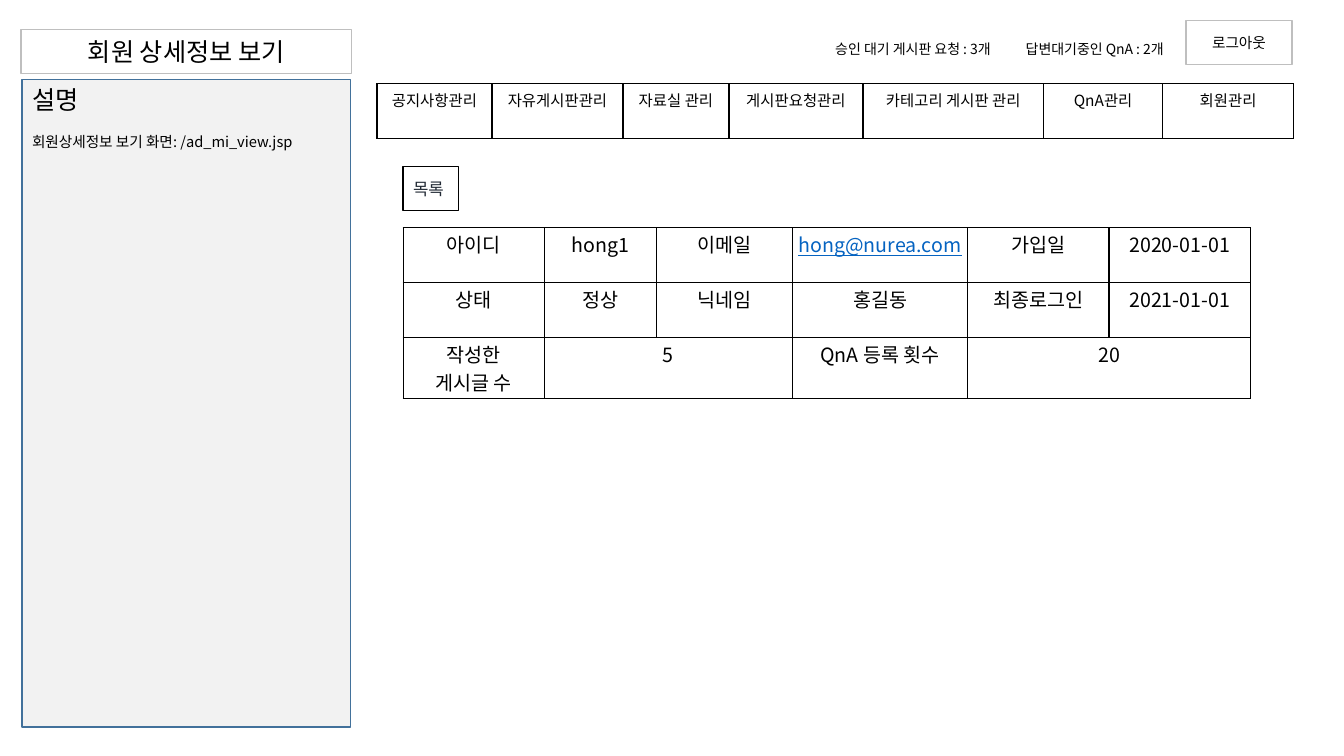
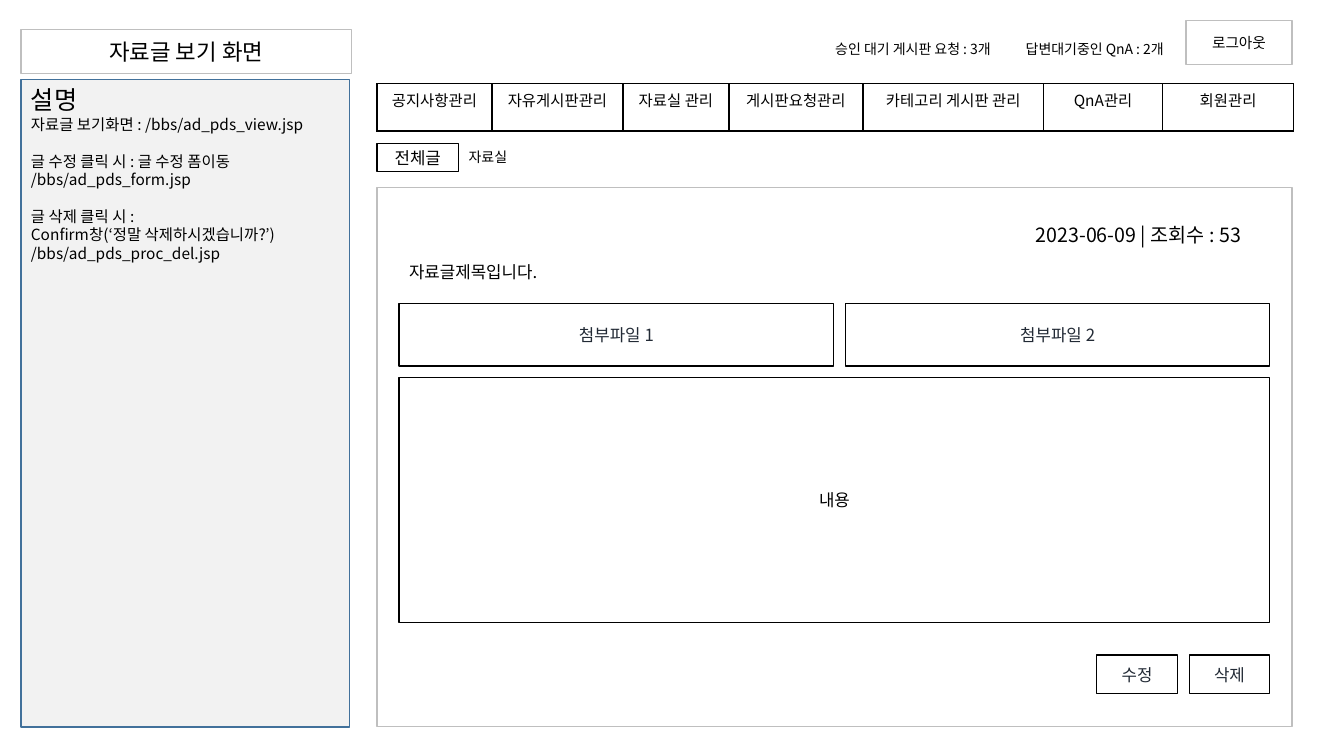
from collections import namedtuple
from dataclasses import dataclass

from lxml.etree import SubElement
from pptx import Presentation
from pptx.dml.color import RGBColor as RGB
from pptx.enum.shapes import MSO_SHAPE as SHAPE
from pptx.enum.text import MSO_ANCHOR as ANCHOR, PP_ALIGN as ALIGN
from pptx.oxml.ns import qn
from pptx.util import Cm, Pt

Box = namedtuple("Box", "x y w h")  # centimetres


@dataclass(frozen=True)
class Theme:
    """Colours, font and type sizes of the deck."""
    font: str = "Noto Sans CJK KR"
    black: str = "000000"
    white: str = "FFFFFF"
    navy: str = "222A35"
    grey: str = "BFBFBF"
    pale: str = "F2F2F2"
    blue: str = "42719B"
    link: str = "0563C1"
    heading: float = 18
    title: float = 16
    data: float = 14
    label: float = 12
    body: float = 11
    button: float = 10.5
    status: float = 10


T = Theme()
TITLE = Box(0.53, 0.74, 8.33, 1.12)
HEADER = Box(9.5, 0.51, 23.06, 1.12)
NAV_TOP = 2.11
NAV = {"공지사항관리": 2.9, "자유게시판관리": 3.3, "자료실 관리": 2.67,
       "게시판요청관리": 3.38, "카테고리 게시판 관리": 4.55,
       "QnA관리": 3.0, "회원관리": 3.3}


def style(p, text, size, color=T.black, align=ALIGN.LEFT):
    """Fill a paragraph with text in the deck's font."""
    p.text, p.alignment = text, align
    f = p.font
    f.size, f.name = Pt(size), T.font
    f.color.rgb = RGB.from_string(color)
    SubElement(p._p.pPr.find(qn("a:defRPr")), qn("a:ea"), typeface=T.font)


def place(box):
    """Turn a box into lengths."""
    return [Cm(v) for v in box]


def rect(s, box, text="", size=T.label, color=T.black, line=T.black,
         fill=T.white, align=ALIGN.CENTER):
    """Draw a rectangle with an optional label; line=None leaves it bare."""
    sp = s.shapes.add_shape(SHAPE.RECTANGLE, *place(box))
    sp.shadow.inherit = False
    sp.fill.solid()
    sp.fill.fore_color.rgb = RGB.from_string(fill)
    if line:
        sp.line.color.rgb = RGB.from_string(line)
        sp.line.width = Pt(1)
    else:
        sp.line.fill.background()
    tf = sp.text_frame
    tf.word_wrap, tf.vertical_anchor = True, ANCHOR.MIDDLE
    if text:
        style(tf.paragraphs[0], text, size, color, align)
    return sp


def label(s, box, text, size):
    """Add a one-line text box."""
    tf = s.shapes.add_textbox(*place(box)).text_frame
    tf.word_wrap, tf.vertical_anchor = True, ANCHOR.MIDDLE
    style(tf.paragraphs[0], text, size)


def fill_cell(cell, text, size, margins):
    """Give a cell black borders, white fill and centred lines of text."""
    tc_pr = cell._tc.get_or_add_tcPr()
    for side in "LRTB":
        ln = SubElement(tc_pr, qn(f"a:ln{side}"), w=str(Pt(1)))
        SubElement(SubElement(ln, qn("a:solidFill")), qn("a:srgbClr"), val=T.black)
    cell.fill.solid()
    cell.fill.fore_color.rgb = RGB.from_string(T.white)
    cell.margin_left = cell.margin_right = Cm(margins[0])
    cell.margin_top = cell.margin_bottom = Cm(margins[1])
    tf = cell.text_frame
    for i, part in enumerate(text.split("\n")):
        p = tf.add_paragraph() if i else tf.paragraphs[0]
        is_mail = "@" in part
        style(p, part, size, T.link if is_mail else T.black, ALIGN.CENTER)
        if is_mail:
            p.font.underline = True


def grid(s, x, y, widths, heights, rows, size, margins):
    """Add a ruled table; a None cell joins the cell on its left."""
    box = Box(x, y, sum(widths), sum(heights))
    table = s.shapes.add_table(len(rows), len(widths), *place(box)).table
    table.first_row = table.horz_banding = False
    for col, w in zip(table.columns, widths):
        col.width = Cm(w)
    for r, (row, h) in enumerate(zip(rows, heights)):
        table.rows[r].height = Cm(h)
        for c, text in enumerate(row):
            fill_cell(table.cell(r, c), text or "", size, margins)
            if text is None:
                table.cell(r, c - 1).merge(table.cell(r, c))


def header(s, box, nav_h):
    """Place the status line, logout button and menu."""
    logout_w = 2.67
    rect(s, Box(box.x + box.w - logout_w, box.y, logout_w, box.h),
         "로그아웃", T.button, line=T.grey)
    for dx, w, text in ((11.3, 4.98, "승인 대기 게시판 요청 : 3개"),
                        (16.1, 4.37, "답변대기중인 QnA : 2개")):
        label(s, Box(box.x + dx, box.y + 0.38, w, 0.69), text, T.status)
    grid(s, box.x, NAV_TOP, list(NAV.values()), [nav_h], [list(NAV)],
         T.body, (0.25, 0.13))


def sidebar(s, box, blocks, size):
    """Place the notes panel: a heading, then blocks of lines set apart."""
    sp = rect(s, box, "설명", T.heading, line=T.blue, fill=T.pale, align=ALIGN.LEFT)
    tf = sp.text_frame
    tf.vertical_anchor = ANCHOR.TOP
    for gap, lines in blocks:
        for i, line in enumerate(lines):
            p = tf.add_paragraph()
            style(p, line, size)
            p.space_before = Pt(0 if i else gap)


def base_slide(prs, title, title_size, nav_h):
    """Start a slide with the parts every screen shares."""
    s = prs.slides.add_slide(prs.slide_layouts[6])
    rect(s, TITLE, title, title_size, line=T.grey)
    header(s, HEADER, nav_h)
    return s


def member_details(s, x, y):
    """Place the list button and the member's data table."""
    rect(s, Box(x, y, 1.4, 1.12), "목록", color=T.navy, align=ALIGN.LEFT)
    rows = [["아이디", "hong1", "이메일", "hong@nurea.com", "가입일", "2020-01-01"],
            ["상태", "정상", "닉네임", "홍길동", "최종로그인", "2021-01-01"],
            ["작성한\n게시글 수", "5", None, "QnA 등록 횟수", "20", None]]
    grid(s, x, y + 1.55, [3.56, 2.82, 3.43, 4.42, 3.56, 3.56],
         [1.38, 1.38, 1.54], rows, T.data, (0.1, 0.05))


def breadcrumb(s, box):
    """Place the tab and the board's name beside it."""
    rect(s, box, "전체글")
    label(s, Box(box.x + box.w, box.y, 2.9, box.h), "자료실", T.status)


def post_panel(s, box):
    """Place the framed post: date, title, attachments, body and buttons."""
    rect(s, box, line=T.grey)
    x, w = box.x + 0.56, box.w - 1.12
    right, gap = x + w, 0.3
    rect(s, Box(x, box.y + 1.6, w, 1.04), "자료글제목입니다.", line=None,
         align=ALIGN.LEFT)
    label(s, Box(right - 6.15, box.y + 0.77, 6.15, 0.86),
          "2023-06-09 | 조회수 : 53", T.data)
    first_w = 10.95
    for ax, aw, text in ((x, first_w, "첨부파일 1"),
                         (x + first_w + gap, w - first_w - gap, "첨부파일 2")):
        rect(s, Box(ax, box.y + 2.93, aw, 1.57), text, color=T.navy)
    rect(s, Box(x, box.y + 4.8, w, 6.17), "내용")
    button_w = 2.03
    for i, text in enumerate(("삭제", "수정")):
        rect(s, Box(right - button_w - i * (button_w + gap), box.y + 11.79,
                    button_w, 0.97), text, color=T.navy)


def member_slide(prs):
    """Build the member details screen."""
    s = base_slide(prs, "회원 상세정보 보기", T.heading, 1.38)
    sidebar(s, Box(0.56, 2.01, 8.28, 16.31),
            [(13, ["회원상세정보 보기 화면: /ad_mi_view.jsp"])], T.button)
    member_details(s, 10.16, 4.19)


def post_slide(prs):
    """Build the post viewing screen."""
    s = base_slide(prs, "자료글 보기 화면", T.title, 1.19)
    sidebar(s, Box(0.53, 2.01, 8.28, 16.31), [
        (0, ["자료글 보기화면 : /bbs/ad_pds_view.jsp"]),
        (13, ["글 수정 클릭 시 : 글 수정 폼이동", "/bbs/ad_pds_form.jsp"]),
        (13, ["글 삭제 클릭 시 :", "Confirm창(‘정말 삭제하시겠습니까?’)",
              "/bbs/ad_pds_proc_del.jsp"])], T.body)
    breadcrumb(s, Box(9.5, 3.61, 2.06, 0.71))
    post_panel(s, Box(9.5, 4.72, 23.06, 13.59))


prs = Presentation()
prs.slide_width, prs.slide_height = Cm(33.87), Cm(19.05)
member_slide(prs)
post_slide(prs)
prs.save("out.pptx")
